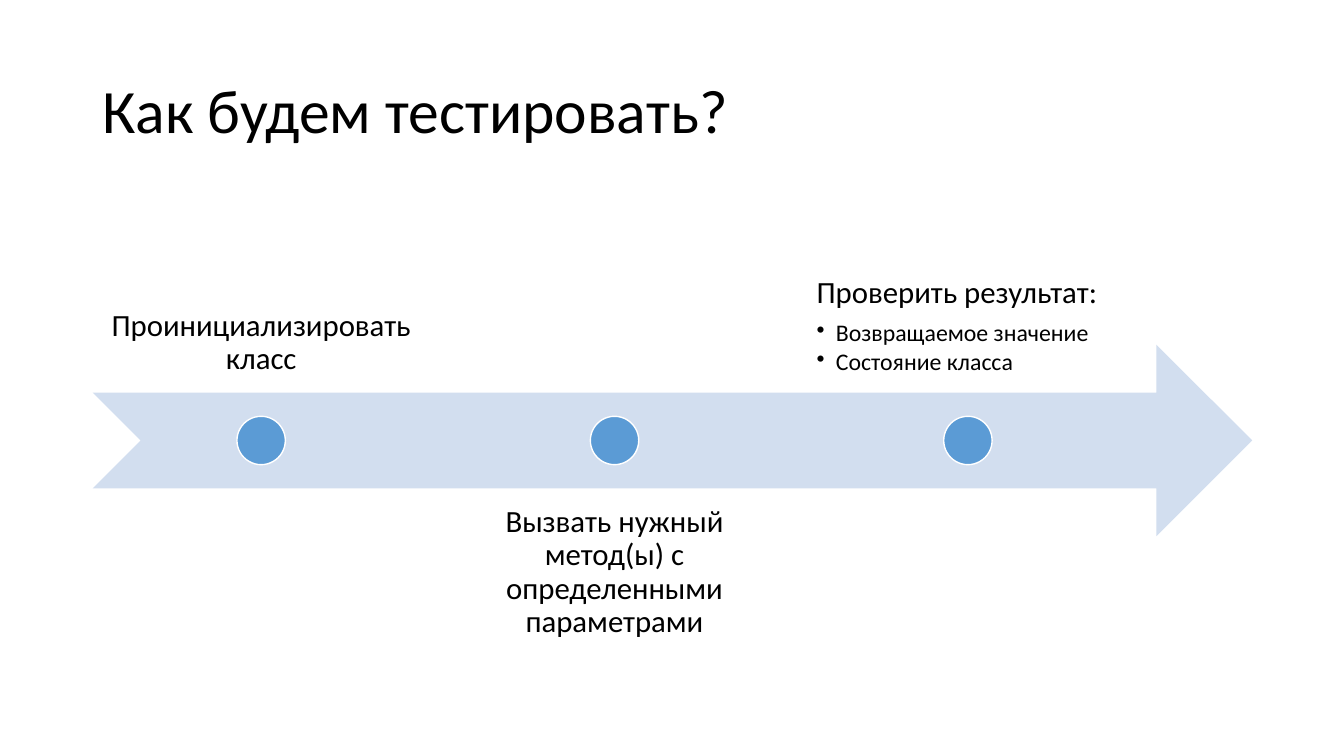
import pptx
import pptx.util
import pptx.dml.color
import pptx.enum.shapes
import pptx.enum.text
import lxml.etree
from pptx.util import Inches

FONT = "Calibri"
INK, BAND, DOT, WHITE = "000000", "D2DEEF", "5B9BD5", "FFFFFF"
LEFT, WIDE, HIGH = 0.92, 11.5, 1.9
BAND_TOP = 3.42
STEP, STEP_W, DOT_W = 3.505, 3.34, 0.48
ABOVE, BELOW = 2, 4.85

ALIGN = pptx.enum.text.PP_ALIGN
ANCHOR = pptx.enum.text.MSO_ANCHOR
KIND = pptx.enum.shapes.MSO_SHAPE


def color(code):
    """Turn a hex string into a colour."""
    return pptx.dml.color.RGBColor.from_string(code)


def add_form(slide, kind, box, fill, line=None):
    """Add a flat preset shape, outlined if a line colour is given."""
    form = slide.shapes.add_shape(kind, *map(Inches, box))
    form.shadow.inherit = False
    form.fill.solid()
    form.fill.fore_color.rgb = color(fill)
    if line:
        form.line.color.rgb = color(line)
        form.line.width = pptx.util.Pt(1)
    else:
        form.line.fill.background()


def add_frame(slide, box, anchor, side, edge):
    """Add a wrapping text box with side and edge insets; return its frame."""
    frame = slide.shapes.add_textbox(*map(Inches, box)).text_frame
    frame.word_wrap = True
    frame.vertical_anchor = anchor
    frame.margin_left = frame.margin_right = Inches(side)
    frame.margin_top = frame.margin_bottom = Inches(edge)
    return frame


def add_line(frame, text, size, align=ALIGN.LEFT, after=0):
    """Write one paragraph, using the empty first one when it is free."""
    para = frame.paragraphs[0]
    if para.runs:
        para = frame.add_paragraph()
    para.alignment = align
    para.line_spacing = 0.9
    para.space_after = pptx.util.Pt(size * after)
    run = para.add_run()
    run.text = text
    run.font.size = pptx.util.Pt(size)
    run.font.name = FONT
    run.font.color.rgb = color(INK)
    return para


def add_bullet(para):
    """Give a paragraph a round bullet with a hanging indent."""
    para.level = 1
    props = para._p.get_or_add_pPr()
    props.set("marL", str(Inches(0.19)))
    props.set("indent", str(Inches(-0.19)))
    mark = lxml.etree.SubElement(props, pptx.oxml.ns.qn("a:buChar"))
    mark.set("char", "•")


def add_step(slide, index, title, points):
    """Add a step: its text above or below the band, and its dot."""
    left = LEFT + index * STEP
    lower = index % 2 == 1
    box = (left, BELOW if lower else ABOVE, STEP_W, HIGH)
    anchor = ANCHOR.TOP if lower else ANCHOR.BOTTOM
    frame = add_frame(slide, box, anchor, 0.17, 0.17)
    align = ALIGN.LEFT if points else ALIGN.CENTER
    add_line(frame, title, 22, align, 0.35)
    for point in points:
        add_bullet(add_line(frame, point, 17, after=0.15))
    dot_left = left + (STEP_W - DOT_W) / 2
    dot_top = BAND_TOP + (HIGH - DOT_W) / 2
    add_form(slide, KIND.OVAL, (dot_left, dot_top, DOT_W, DOT_W), DOT, WHITE)


def main():
    """Build the slide and save it."""
    deck = pptx.Presentation()
    deck.slide_width, deck.slide_height = Inches(13.33), Inches(7.5)
    slide = deck.slides.add_slide(deck.slide_layouts[6])

    head = add_frame(slide, (LEFT, 0.4, WIDE, 1.45), ANCHOR.MIDDLE, 0.1, 0.05)
    add_line(head, "Как будем тестировать?", 44)

    add_form(slide, KIND.NOTCHED_RIGHT_ARROW, (LEFT, BAND_TOP, WIDE, HIGH), BAND)
    steps = [
        ("Проинициализировать класс", []),
        ("Вызвать нужный метод(ы) с определенными параметрами", []),
        ("Проверить результат:", ["Возвращаемое значение", "Состояние класса"]),
    ]
    for index, (title, points) in enumerate(steps):
        add_step(slide, index, title, points)

    deck.save("out.pptx")


main()
